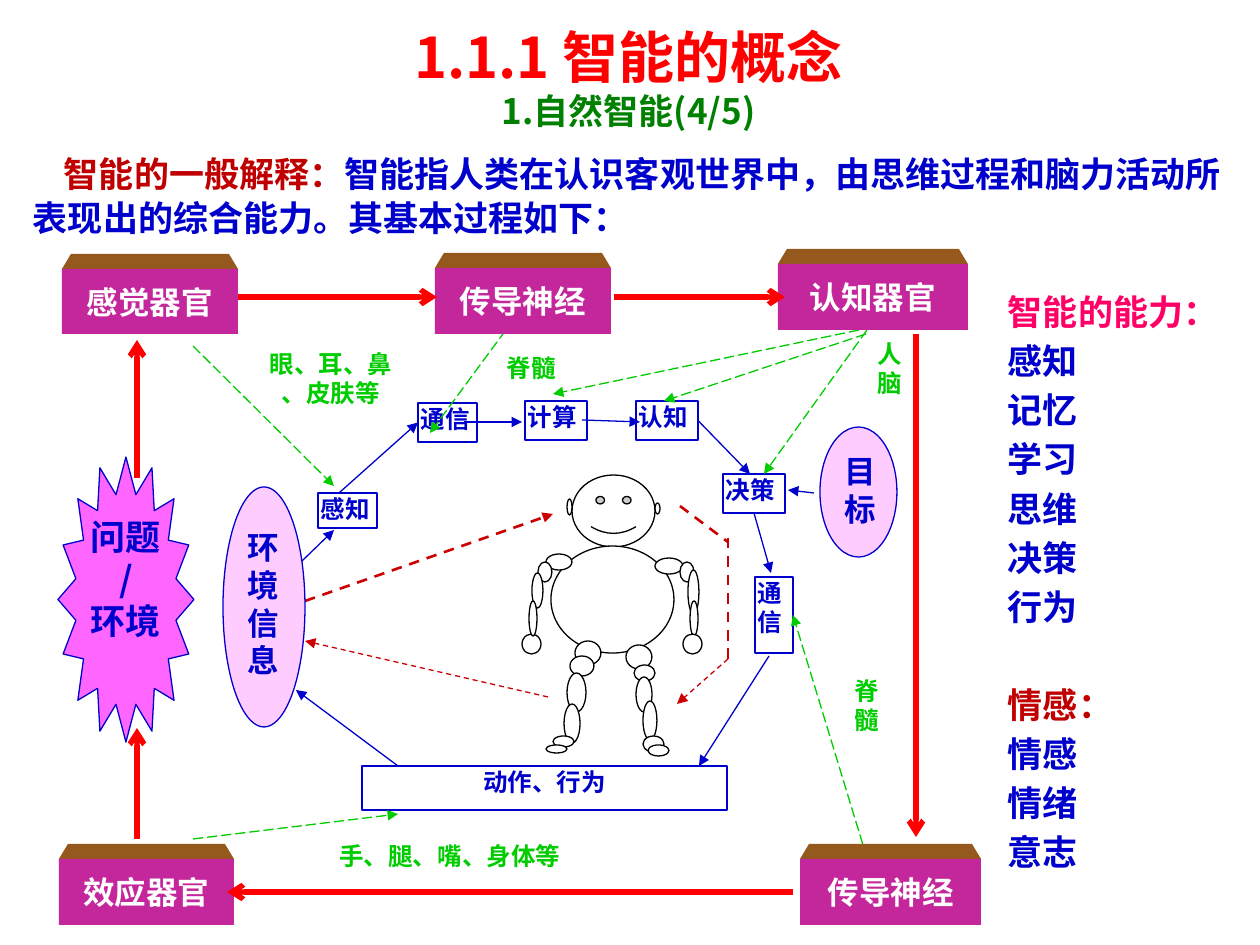
from pptx import Presentation
from pptx.dml.color import RGBColor
from pptx.enum.dml import MSO_LINE
from pptx.enum.shapes import MSO_CONNECTOR, MSO_SHAPE
from pptx.enum.text import MSO_ANCHOR, MSO_AUTO_SIZE, PP_ALIGN
from pptx.oxml.ns import qn
from pptx.util import Pt
from lxml.etree import SubElement

COLORS = {
    "white": "FFFFFF", "black": "000000", "blue": "0000CC", "green": "00CC00",
    "crimson": "CC0000", "red": "FF0000", "dark_red": "C00000", "forest": "008000",
    "rose": "FF0066", "magenta": "C3279B", "brown": "95591E", "pink": "FF66FF",
    "pale_pink": "FFCCFF",
}
SANS = "Noto Sans CJK SC"
SERIF = "Times New Roman"
ARIAL = "Arial"
SMALL_INSETS = (3, 1, 3, 1)
TEXT_INSETS = (13, 6, 13, 6)


def px(length):
    return round(length * 914400 / 126)


def color(name):
    return RGBColor.from_string(COLORS[name])


class SlideBuilder:
    def __init__(self, deck):
        self.page = deck.slides.add_slide(deck.slide_layouts[5])

    def paragraph(self, para, text, size, tint, font=SERIF, align=PP_ALIGN.LEFT):
        para.text = text
        para.alignment = align
        para.font.name = font
        para.font.size = Pt(size)
        para.font.bold = True
        para.font.color.rgb = color(tint)
        SubElement(para.font._element, qn("a:ea")).set("typeface", SANS)
        return para

    def frame(self, box, insets=TEXT_INSETS, anchor=MSO_ANCHOR.TOP, wrap=True):
        frame = box.text_frame
        frame.auto_size = MSO_AUTO_SIZE.NONE
        frame.word_wrap = wrap
        frame.vertical_anchor = anchor
        (frame.margin_left, frame.margin_top,
         frame.margin_right, frame.margin_bottom) = map(px, insets)
        return frame

    def paragraphs(self, frame, lines, *style):
        for index, line in enumerate(lines):
            para = frame.add_paragraph() if index else frame.paragraphs[0]
            self.paragraph(para, line, *style)

    def shape(self, kind, place, fill, line=None):
        shape = self.page.shapes.add_shape(kind, *map(px, place))
        shape.shadow.inherit = False
        shape.fill.solid()
        shape.fill.fore_color.rgb = color(fill)
        if line:
            shape.line.color.rgb = color(line)
            shape.line.width = Pt(0.75)
        else:
            shape.line.fill.background()
        return shape

    def process(self, text, place, align=PP_ALIGN.LEFT):
        box = self.shape(MSO_SHAPE.RECTANGLE, place, "white", "blue")
        self.paragraphs(self.frame(box, SMALL_INSETS), text.split("\n"), 14, "blue", SERIF, align)
        return box

    def label(self, text, place, font):
        box = self.shape(MSO_SHAPE.RECTANGLE, place, "white")
        frame = self.frame(box, SMALL_INSETS)
        self.paragraphs(frame, text.split("\n"), 14, "green", font, PP_ALIGN.CENTER)

    def organ(self, text, left, top, width, height):
        lid = self.shape(MSO_SHAPE.TRAPEZOID, (left, top - 15, width, 15), "brown")
        lid.adjustments[0] = 0.6
        box = self.shape(MSO_SHAPE.RECTANGLE, (left, top, width, height), "magenta")
        frame = self.frame(box, (8, 6, 8, 6), MSO_ANCHOR.MIDDLE, False)
        self.paragraphs(frame, [text], 18, "white", SERIF, PP_ALIGN.CENTER)

    def oval(self, text, place):
        oval = self.shape(MSO_SHAPE.OVAL, place, "pale_pink", "blue")
        self.paragraphs(self.frame(oval, wrap=False), text, 18, "blue", SANS)

    def line(self, points, tint, width=0.75, dash=None, tip="triangle", begin=None, end=None):
        line = self.page.shapes.add_connector(MSO_CONNECTOR.STRAIGHT, *map(px, points))
        line.line.color.rgb = color(tint)
        line.line.width = Pt(width)
        if dash:
            line.line.dash_style = dash
        if tip:
            SubElement(line.line._get_or_add_ln(), qn("a:tailEnd")).set("type", tip)
        SubElement(line._element.spPr, qn("a:effectLst"))
        if begin:
            line.begin_connect(*begin)
        if end:
            line.end_connect(*end)

    def title(self, place, heading, subheading):
        box = self.page.shapes.title
        box.left, box.top, box.width, box.height = map(px, place)
        frame = self.frame(box)
        self.paragraph(frame.paragraphs[0], heading, 32, "red", SANS, PP_ALIGN.CENTER)
        self.paragraph(frame.add_paragraph(), subheading, 20, "forest", SANS, PP_ALIGN.CENTER)

    def textbox(self, place):
        return self.frame(self.page.shapes.add_textbox(*map(px, place)))


def draw_robot(slide):
    head = slide.shape(MSO_SHAPE.SMILEY_FACE, (572, 475, 83, 72), "white", "black")
    head.adjustments[0] = 0.05
    torso_and_ears = [(551, 546, 123, 107), (655, 503, 5, 11), (567, 499, 5, 16)]
    left_arm = [(546, 554, 26, 16), (538, 562, 14, 20), (532, 573, 11, 35),
                (522, 634, 19, 20), (529, 601, 8, 35)]
    right_arm = [(655, 558, 28, 16), (680, 562, 14, 20), (688, 570, 11, 44),
                 (690, 601, 8, 35), (683, 634, 19, 20)]
    left_leg = [(575, 641, 26, 24), (570, 656, 24, 20), (567, 673, 19, 39),
                (564, 704, 16, 39), (553, 736, 21, 11), (546, 745, 21, 8)]
    right_leg = [(626, 645, 26, 24), (634, 665, 21, 16), (636, 677, 16, 35),
                 (643, 701, 14, 39), (643, 736, 21, 16), (648, 745, 21, 11)]
    for place in torso_and_ears + left_arm + right_arm + left_leg + right_leg:
        slide.shape(MSO_SHAPE.OVAL, place, "white", "black")


def draw_process(slide):
    cognition = slide.process("认知", (636, 401, 62, 39))
    slide.process("感知", (318, 493, 59, 35))
    decision = slide.process("决策", (723, 474, 62, 39))
    output = slide.process("通\n信", (755, 577, 38, 76))
    slide.process("动作、行为", (362, 766, 365, 44), PP_ALIGN.CENTER)
    slide.process("计算", (525, 401, 62, 39))
    signal = slide.process("通信", (418, 403, 59, 39))

    for points, width, tip in [
        ((305, 601, 553, 514), 1.5, "triangle"), ((548, 697, 305, 641), 0.75, "triangle"),
        ((728, 659, 677, 704), 0.75, "triangle"), ((680, 506, 728, 542), 1.5, None),
        ((728, 538, 728, 661), 1.5, None),
    ]:
        slide.line(points, "crimson", width, MSO_LINE.DASH, tip)

    for points, begin, end in [
        ((301, 562, 334, 530), None, None), ((339, 493, 418, 422), None, (signal, 1)),
        ((464, 422, 522, 422), None, None), ((582, 420, 640, 422), None, None),
        ((698, 422, 750, 474), (cognition, 3), None),
        ((755, 513, 771, 573), (decision, 2), None),
        ((769, 656, 699, 766), None, None), ((398, 766, 296, 690), None, None),
        ((814, 493, 788, 490), None, None),
    ]:
        slide.line(points, "blue", begin=begin, end=end)

    for text, place, font in [
        ("人\n脑", (866, 338, 48, 63), ARIAL), ("手、腿、嘴、身体等", (310, 840, 280, 40), SERIF),
        ("眼、耳、鼻\n、皮肤等", (260, 348, 142, 63), SERIF),
        ("脊\n髓", (843, 675, 48, 66), ARIAL), ("脊髓", (490, 352, 83, 28), ARIAL),
    ]:
        slide.label(text, place, font)

    for points, end in [
        ((193, 346, 334, 486), None), ((514, 319, 430, 433), None),
        ((859, 330, 553, 394), None), ((866, 334, 664, 401), None),
        ((867, 330, 764, 474), None), ((193, 839, 398, 814), None),
        ((867, 858, 793, 615), (output, 3)),
    ]:
        slide.line(points, "green", dash=MSO_LINE.LONG_DASH, end=end)


def draw_organs(slide):
    star = slide.shape(MSO_SHAPE.STAR_16_POINT, (58, 457, 136, 285), "pink", "blue")
    star.adjustments[0] = 0.375
    frame = slide.frame(star, (13, 6, 13, 48), MSO_ANCHOR.MIDDLE, False)
    slide.paragraphs(frame, ["问题", "/", "环境"], 20, "blue", SANS, PP_ALIGN.CENTER)

    for organ in [
        ("感觉器官", 62, 269, 176, 65), ("传导神经", 435, 268, 176, 66),
        ("认知器官", 778, 264, 190, 66), ("传导神经", 800, 859, 181, 66),
        ("效应器官", 59, 859, 175, 66),
    ]:
        slide.organ(*organ)

    for points in [
        (137, 478, 137, 340), (238, 297, 437, 297), (614, 297, 785, 297),
        (916, 334, 916, 837), (793, 892, 227, 892), (137, 839, 137, 728),
    ]:
        slide.line(points, "red", 3, tip="arrow")

    slide.oval("目标", (820, 427, 77, 130))
    slide.oval("环境信息", (223, 487, 82, 240))


def add_explanations(slide):
    definition = slide.textbox((20, 144, 1222, 102)).paragraphs[0]
    definition._p.get_or_add_pPr().set("indent", str(px(31)))
    slide.paragraph(definition, "智能的一般解释：", 20, "blue")
    definition.line_spacing = 1.05
    definition.runs[0].font.color.rgb = color("dark_red")
    span = definition.add_run()
    span.text = "智能指人类在认识客观世界中，由思维过程和脑力活动所表现出的综合能力。其基本过程如下："

    frame = slide.textbox((995, 278, 239, 606))
    slide.paragraphs(frame, ["智能的能力：", "感知", "记忆", "学习", "思维", "决策", "行为",
                             "情感：", "情感", "情绪", "意志"], 20, "blue")
    for para in frame.paragraphs:
        para.line_spacing = Pt(28)
    ability, emotion = frame.paragraphs[0], frame.paragraphs[7]
    ability.font.name = SANS
    ability.font.color.rgb = color("rose")
    emotion.font.color.rgb = color("dark_red")
    emotion.space_before = Pt(28)


def main():
    deck = Presentation()
    deck.slide_width, deck.slide_height = px(1260), px(945)
    slide = SlideBuilder(deck)
    slide.title((23, 16, 1211, 123), "1.1.1 智能的概念", "1.自然智能(4/5)")
    draw_robot(slide)
    draw_process(slide)
    draw_organs(slide)
    add_explanations(slide)
    deck.save("out.pptx")


if __name__ == "__main__":
    main()
